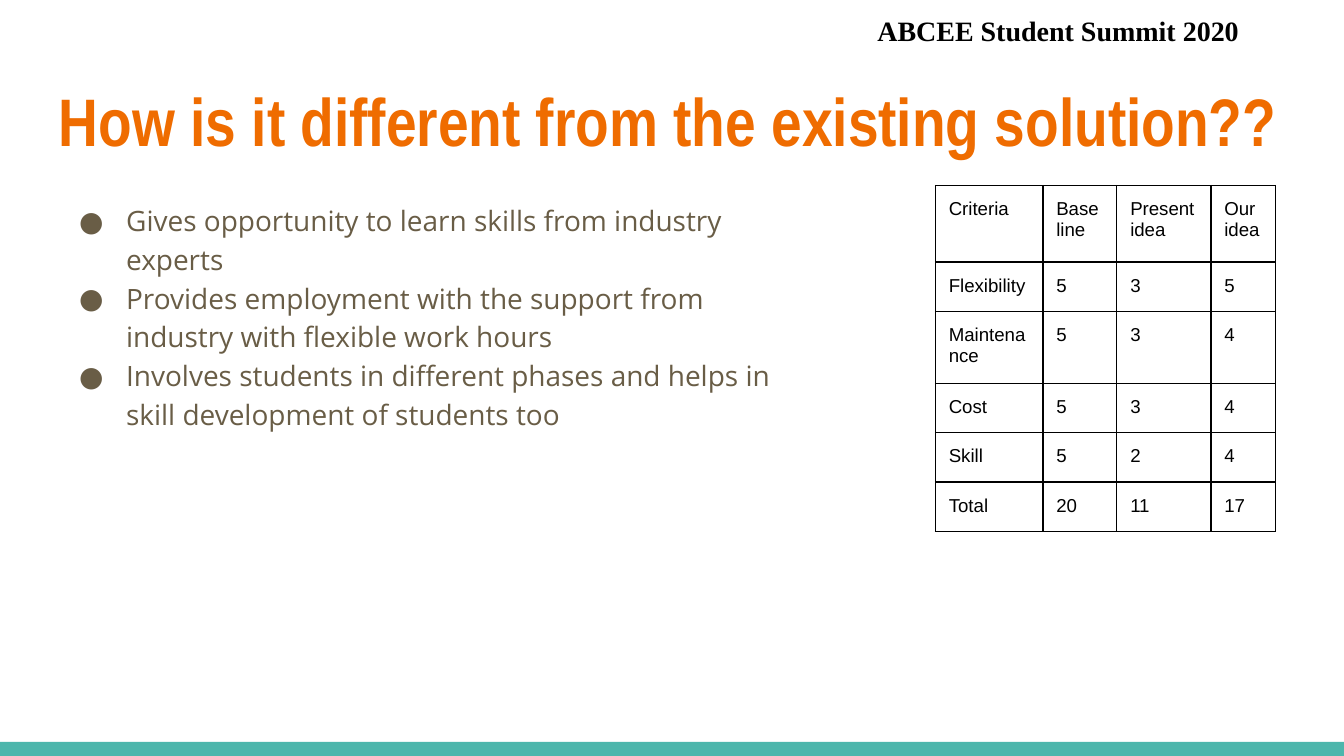
"""Build a slide comparing an idea with the existing solution."""
from dataclasses import dataclass

from lxml import etree
from pptx import Presentation
from pptx.dml.color import RGBColor
from pptx.enum.shapes import MSO_SHAPE
from pptx.enum.text import MSO_ANCHOR, PP_ALIGN
from pptx.oxml.ns import qn
from pptx.util import Inches, Pt

RECTANGLE = MSO_SHAPE.RECTANGLE
TOP = MSO_ANCHOR.TOP
JUSTIFY = PP_ALIGN.JUSTIFY
BLANK_LAYOUT = 6


@dataclass(frozen=True)
class Theme:
    """Colours and text formats of the deck."""
    teal: str = "4DB6AC"
    black: str = "000000"
    white: str = "FFFFFF"
    title: tuple = ("Arial Narrow", 36, True, "EF6C00")
    body: tuple = ("Open Sans", 15, False, "695D46")
    event: tuple = ("Times New Roman", 15, True, "000000")
    cell: tuple = ("Arial", 10, False, "000000")
    margin: float = 0.1
    border: float = 0.75


THEME = Theme()

BULLETS = [
    "Gives opportunity to learn skills from industry experts",
    "Provides employment with the support from industry with flexible work hours",
    "Involves students in different phases and helps in skill development of students too",
]
SCORES = [
    ["Criteria", "Base line", "Present idea", "Our idea"],
    ["Flexibility", "5", "3", "5"],
    ["Maintenance", "5", "3", "4"],
    ["Cost", "5", "3", "4"],
    ["Skill", "5", "2", "4"],
    ["Total", "20", "11", "17"],
]
COLUMN_WIDTHS = [0.8, 0.55, 0.7, 0.48]
ROW_HEIGHTS = [0.57, 0.34, 0.49, 0.34, 0.34, 0.34]


def set_margins(target):
    """Give a text frame or table cell equal margins on all sides."""
    for side in ("left", "top", "right", "bottom"):
        setattr(target, f"margin_{side}", Inches(THEME.margin))


def add_span(para, text, style):
    """Add a formatted run to a paragraph."""
    name, size, bold, colour = style
    span = para.add_run()
    span.text = text
    for key, value in {"name": name, "size": Pt(size), "bold": bold}.items():
        setattr(span.font, key, value)
    span.font.color.rgb = RGBColor.from_string(colour)


def add_text(page, box, lines, style):
    """Place a wrapped text box with one paragraph per line."""
    frame = page.shapes.add_textbox(*map(Inches, box)).text_frame
    for key, value in {"word_wrap": True, "vertical_anchor": TOP}.items():
        setattr(frame, key, value)
    set_margins(frame)
    for index, line in enumerate(lines):
        para = frame.add_paragraph() if index else frame.paragraphs[0]
        add_span(para, line, style)
    return frame


def add_bullet_list(page, box, lines):
    """Place a bulleted list with hanging indents."""
    for para in add_text(page, box, lines, THEME.body).paragraphs:
        para.line_spacing = 1.15
        properties = para._p.get_or_add_pPr()
        properties.set("marL", str(Inches(0.5)))
        properties.set("indent", str(Inches(-0.35)))
        colour = etree.SubElement(properties, qn("a:buClr"))
        etree.SubElement(colour, qn("a:srgbClr"), val=THEME.body[-1])
        etree.SubElement(properties, qn("a:buFont"), typeface=THEME.body[0])
        etree.SubElement(properties, qn("a:buChar"), char="●")


def add_borders(cell):
    """Draw a thin line on each side of a cell."""
    properties = cell._tc.get_or_add_tcPr()
    for index, side in enumerate(("lnL", "lnR", "lnT", "lnB")):
        line = etree.Element(qn(f"a:{side}"), w=str(Pt(THEME.border)))
        fill = etree.SubElement(line, qn("a:solidFill"))
        etree.SubElement(fill, qn("a:srgbClr"), val=THEME.black)
        properties.insert(index, line)


def add_score_table(page, box, scores):
    """Place the table of scores for each criterion."""
    frame = page.shapes.add_table(len(scores), len(scores[0]), *map(Inches, box))
    table = frame.table
    for flag in ("first_row", "horz_banding"):
        setattr(table, flag, False)
    for column, width in zip(table.columns, COLUMN_WIDTHS):
        column.width = Inches(width)
    for row, height, values in zip(table.rows, ROW_HEIGHTS, scores):
        row.height = Inches(height)
        for cell, value in zip(row.cells, values):
            set_margins(cell)
            cell.fill.background()
            add_borders(cell)
            add_span(cell.text_frame.paragraphs[0], value, THEME.cell)
    table.cell(0, 2).text_frame.paragraphs[0].alignment = JUSTIFY
    frame.width, frame.height = map(Inches, box[2:])


def add_footer_band(page, box):
    """Place the coloured band at the foot of the page."""
    band = page.shapes.add_shape(RECTANGLE, *map(Inches, box))
    band.shadow.inherit = False
    band.fill.solid()
    band.fill.fore_color.rgb = RGBColor.from_string(THEME.teal)
    band.line.fill.background()


def build_comparison_page(deck):
    """Add the page that compares the idea with the existing solution."""
    page = deck.slides.add_slide(deck.slide_layouts[BLANK_LAYOUT])
    page.background.fill.solid()
    page.background.fill.fore_color.rgb = RGBColor.from_string(THEME.white)
    add_footer_band(page, (0, 5.52, 10, 0.11))
    add_text(page, (0.34, 0.49, 9.32, 0.77),
             ["How is it different from the existing solution??"], THEME.title)
    add_bullet_list(page, (0.34, 1.38, 5.68, 3.61), BULLETS)
    add_text(page, (6.43, 0, 3.57, 0.53), ["ABCEE Student Summit 2020"], THEME.event)
    add_score_table(page, (6.96, 1.38, 3.28, 3.28), SCORES)


def main():
    """Build and save the deck."""
    deck = Presentation()
    deck.slide_width = Inches(10)
    deck.slide_height = deck.slide_width * 9 // 16
    build_comparison_page(deck)
    deck.save("out.pptx")


if __name__ == "__main__":
    main()
